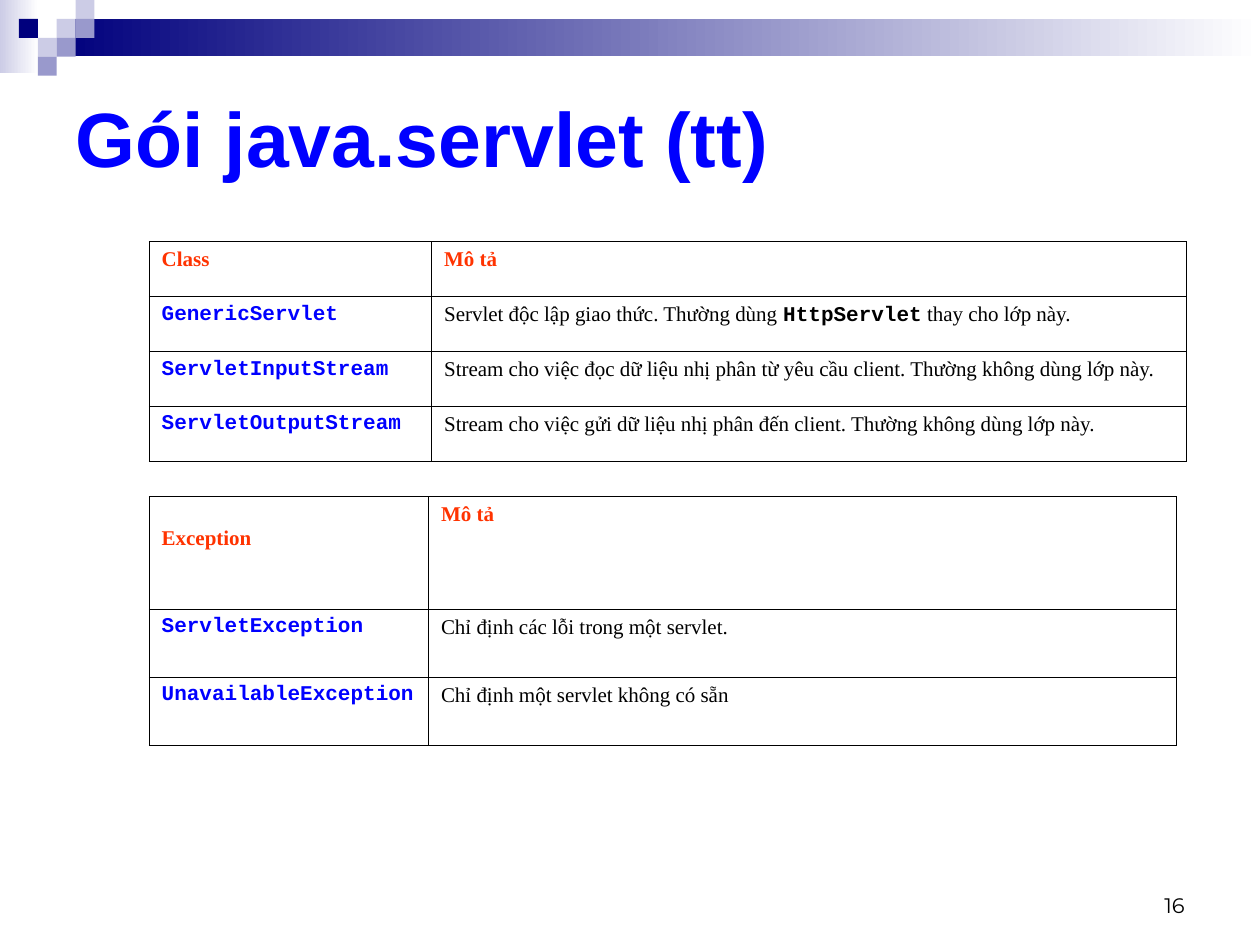
from lxml import etree
from pptx import Presentation
from pptx.dml.color import RGBColor
from pptx.enum.shapes import MSO_SHAPE
from pptx.enum.text import MSO_ANCHOR, PP_ALIGN
from pptx.oxml.ns import qn
from pptx.util import Pt

RECTANGLE = MSO_SHAPE.RECTANGLE
MIDDLE, BOTTOM = MSO_ANCHOR.MIDDLE, MSO_ANCHOR.BOTTOM
LEFT, RIGHT, JUSTIFY = PP_ALIGN.LEFT, PP_ALIGN.RIGHT, PP_ALIGN.JUSTIFY

NAVY = RGBColor(0x00, 0x00, 0x7D)
LAVENDER = RGBColor(0xCC, 0xCC, 0xE6)
PERIWINKLE = RGBColor(0x99, 0x99, 0xCC)
WHITE = RGBColor(0xFF, 0xFF, 0xFF)
BLACK = RGBColor(0x00, 0x00, 0x00)
BLUE = RGBColor(0x00, 0x00, 0xFF)
ORANGE = RGBColor(0xFF, 0x33, 0x00)

SERIF, MONO = "Times New Roman", "Courier New"
SQUARE = 10.8


class SlideBuilder:
    body_size = 12
    border_width = 0.45
    border_color = BLACK

    def __init__(self, slide):
        self.slide = slide

    def rectangle(self, left, top, width, height, *colors):
        shape = self.slide.shapes.add_shape(
            RECTANGLE, Pt(left), Pt(top), Pt(width), Pt(height))
        shape.shadow.inherit = False
        shape.line.fill.background()
        if len(colors) == 1:
            shape.fill.solid()
            shape.fill.fore_color.rgb = colors[0]
            return
        shape.fill.gradient()
        shape.fill.gradient_angle = 0
        for position, (stop, color) in enumerate(zip(shape.fill.gradient_stops, colors)):
            stop.position = position
            stop.color.rgb = color

    def run(self, paragraph, text, font, size, color, bold):
        run = paragraph.add_run()
        run.text = text
        run.font.name = font
        run.font.size = Pt(size)
        run.font.color.rgb = color
        run.font.bold = bold

    def text(self, left, top, width, height, anchor, alignment, *style):
        shape = self.slide.shapes.add_textbox(Pt(left), Pt(top), Pt(width), Pt(height))
        frame = shape.text_frame
        frame.word_wrap = True
        frame.vertical_anchor = anchor
        paragraph = frame.paragraphs[0]
        paragraph.alignment = alignment
        self.run(paragraph, *style)

    def borders(self, cell):
        properties = cell._tc.get_or_add_tcPr()
        for side in ("a:lnL", "a:lnR", "a:lnT", "a:lnB"):
            line = etree.SubElement(properties, qn(side), w=str(Pt(self.border_width)))
            fill = etree.SubElement(line, qn("a:solidFill"))
            etree.SubElement(fill, qn("a:srgbClr"), val=str(self.border_color))

    def table(self, left, top, widths, heights, rows):
        shape = self.slide.shapes.add_table(
            len(heights), len(widths), Pt(left), Pt(top), Pt(sum(widths)), Pt(sum(heights)))
        table = shape.table
        for column, width in zip(table.columns, widths):
            column.width = Pt(width)
        for row, height in zip(table.rows, heights):
            row.height = Pt(height)
        for row, contents in zip(table.rows, rows):
            for cell, runs in zip(row.cells, contents):
                self.borders(cell)
                cell.fill.background()
                paragraph = cell.text_frame.paragraphs[0]
                paragraph.alignment = JUSTIFY
                for text, font, color, bold in runs:
                    self.run(paragraph, text, font, self.body_size, color, bold)
        return table


def header(text):
    return [(text, SERIF, ORANGE, True)]


def name(text):
    return [(text, MONO, BLUE, True)]


def plain(text):
    return (text, SERIF, BLACK, False)


def main():
    presentation = Presentation()
    presentation.slide_width, presentation.slide_height = Pt(720), Pt(540)
    builder = SlideBuilder(presentation.slides.add_slide(presentation.slide_layouts[6]))

    builder.rectangle(0, 0, 22, 42, LAVENDER, WHITE)
    builder.rectangle(3 * SQUARE, SQUARE, 720 - 3 * SQUARE, 21.4, NAVY, WHITE)
    squares = [
        (3, 1, LAVENDER), (4, 0, LAVENDER), (4, 1, PERIWINKLE), (2, 2, LAVENDER),
        (1, 1, NAVY), (3, 2, PERIWINKLE), (2, 3, PERIWINKLE),
    ]
    for column, row, color in squares:
        builder.rectangle(column * SQUARE, row * SQUARE, SQUARE, SQUARE, color)

    builder.text(516, 492, 168, 36, BOTTOM, RIGHT, "16", "Montserrat", 12, BLACK, False)
    builder.text(36, 36, 648, 84, MIDDLE, LEFT, "Gói java.servlet (tt)", "Arial", 44, BLUE, True)

    builder.table(85.2, 138, [161.4, 431.4], [31.4] * 4, [
        [header("Class"), header("Mô tả")],
        [name("GenericServlet"), [
            plain("Servlet độc lập giao thức. Thường dùng "),
            ("HttpServlet", MONO, BLACK, True),
            plain(" thay cho lớp này."),
        ]],
        [name("ServletInputStream"), [plain(
            "Stream cho việc đọc dữ liệu nhị phân từ yêu cầu client. Thường không dùng lớp này.")]],
        [name("ServletOutputStream"), [plain(
            "Stream cho việc gửi dữ liệu nhị phân đến client. Thường không dùng lớp này.")]],
    ])
    exceptions = builder.table(85.2, 283.7, [159.6, 427.2], [64.4, 38.9, 38.9], [
        [header("Exception"), header("Mô tả")],
        [name("ServletException"), [plain("Chỉ định các lỗi trong một servlet.")]],
        [name("UnavailableException"), [plain("Chỉ định một servlet không có sẵn")]],
    ])
    exceptions.cell(0, 0).margin_top = Pt(17.4)

    presentation.save("out.pptx")


if __name__ == "__main__":
    main()
